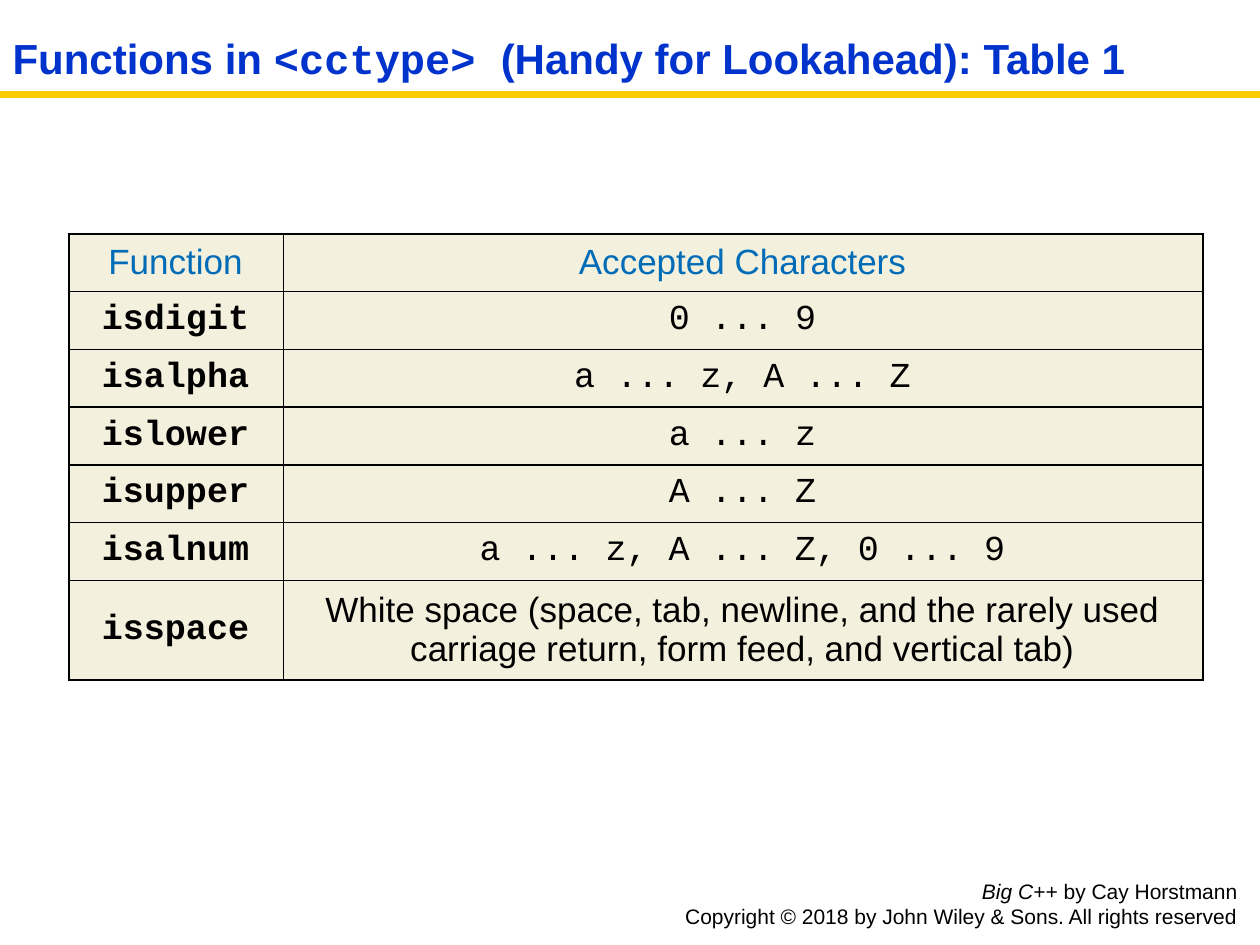
from dataclasses import dataclass

from lxml import etree
from pptx import Presentation
from pptx.dml.color import RGBColor
from pptx.enum.shapes import MSO_CONNECTOR
from pptx.enum.text import MSO_ANCHOR, MSO_AUTO_SIZE, PP_ALIGN
from pptx.oxml.ns import qn
from pptx.util import Pt

LEFT, CENTER, RIGHT = PP_ALIGN.LEFT, PP_ALIGN.CENTER, PP_ALIGN.RIGHT
MIDDLE = MSO_ANCHOR.MIDDLE
NO_FIT = MSO_AUTO_SIZE.NONE
STRAIGHT = MSO_CONNECTOR.STRAIGHT


@dataclass(frozen=True)
class Theme:
    sans: str = "Arial"
    mono: str = "Courier New"
    title: str = "0033CC"
    head: str = "006CB7"
    text: str = "000000"
    rule: str = "FFCC00"
    cell: str = "F3F0DD"
    title_size: float = 24
    cell_size: float = 20
    foot_size: float = 12


THEME = Theme()

TITLE = [
    ("Functions in ", THEME.sans),
    ("<cctype> ", THEME.mono),
    ("(Handy for Lookahead): Table 1", THEME.sans),
]
HEAD = ("Function", "Accepted Characters")
ROWS = [
    ("isdigit", "0 ... 9"),
    ("isalpha", "a ... z, A ... Z"),
    ("islower", "a ... z"),
    ("isupper", "A ... Z"),
    ("isalnum", "a ... z, A ... Z, 0 ... 9"),
    ("isspace", "White space (space, tab, newline, and the rarely used "
                "carriage return, form feed, and vertical tab)"),
]
FOOT = [
    [("Big C++ ", True), ("by Cay Horstmann", False)],
    [("Copyright © 2018 by John Wiley & Sons. All rights reserved", False)],
]

WIDTH, HEIGHT = 720, 540
RULE_Y = 54
TABLE_X, TABLE_Y = 39.5, 133.7
COLS = (122.4, 525.6)
ROW, LAST_ROW = 32.4, 54.3
INSET = (4.3, 4.3, 5, 4.7)


def style(run, face, size, color, bold=False, italic=False):
    font = run.font
    font.name, font.size = face, Pt(size)
    font.bold, font.italic = bold, italic
    font.color.rgb = RGBColor.from_string(color)


def add_run(para, text, *look, **flags):
    run = para.add_run()
    run.text = text
    style(run, *look, **flags)


def add_title(slide):
    title = slide.shapes.title
    title.left, title.top = Pt(0), Pt(12.25)
    title.width, title.height = Pt(693.35), Pt(41.75)
    frame = title.text_frame
    frame.auto_size, frame.vertical_anchor = NO_FIT, MIDDLE
    para = frame.paragraphs[0]
    para.alignment = LEFT
    for text, face in TITLE:
        add_run(para, text, face, THEME.title_size, THEME.title, bold=True)


def add_rule(slide):
    rule = slide.shapes.add_connector(
        STRAIGHT, Pt(0), Pt(RULE_Y), Pt(WIDTH), Pt(RULE_Y))
    rule.line.color.rgb = RGBColor.from_string(THEME.rule)
    rule.line.width = Pt(4.5)
    etree.SubElement(rule._element.spPr, qn("a:effectLst"))


def add_foot(slide):
    box = slide.shapes.add_textbox(Pt(300.25), Pt(498.25), Pt(414), Pt(30.25))
    frame = box.text_frame
    frame.word_wrap = True
    for i, parts in enumerate(FOOT):
        para = frame.add_paragraph() if i else frame.paragraphs[0]
        para.alignment = RIGHT
        for text, italic in parts:
            add_run(para, text, THEME.sans, THEME.foot_size, THEME.text,
                    italic=italic)


def add_edges(cell):
    props = cell._tc.get_or_add_tcPr()
    for side in ("lnL", "lnR", "lnT", "lnB"):
        line = etree.SubElement(props, qn("a:" + side), w=str(Pt(1)))
        fill = etree.SubElement(line, qn("a:solidFill"))
        etree.SubElement(fill, qn("a:srgbClr"), val=THEME.text)


def fill_cell(cell, text, face, color, bold):
    add_edges(cell)
    cell.fill.solid()
    cell.fill.fore_color.rgb = RGBColor.from_string(THEME.cell)
    cell.vertical_anchor = MIDDLE
    (cell.margin_left, cell.margin_top,
     cell.margin_right, cell.margin_bottom) = map(Pt, INSET)
    para = cell.text_frame.paragraphs[0]
    para.alignment = CENTER
    add_run(para, text, face, THEME.cell_size, color, bold=bold)


def add_grid(slide):
    rows = [HEAD, *ROWS]
    last = len(rows) - 1
    table = slide.shapes.add_table(
        len(rows), len(COLS), Pt(TABLE_X), Pt(TABLE_Y),
        Pt(sum(COLS)), Pt(ROW * last + LAST_ROW)).table
    table.first_row = table.horz_banding = False
    for col, width in zip(table.columns, COLS):
        col.width = Pt(width)
    for r, texts in enumerate(rows):
        table.rows[r].height = Pt(LAST_ROW if r == last else ROW)
        for c, text in enumerate(texts):
            prose = r == 0 or (r == last and c == 1)
            face = THEME.sans if prose else THEME.mono
            color = THEME.text if r else THEME.head
            fill_cell(table.cell(r, c), text, face, color, r > 0 and c == 0)


def main():
    deck = Presentation()
    deck.slide_width, deck.slide_height = Pt(WIDTH), Pt(HEIGHT)
    slide = deck.slides.add_slide(deck.slide_layouts[5])
    add_rule(slide)
    add_foot(slide)
    add_title(slide)
    add_grid(slide)
    deck.save("out.pptx")


if __name__ == "__main__":
    main()
